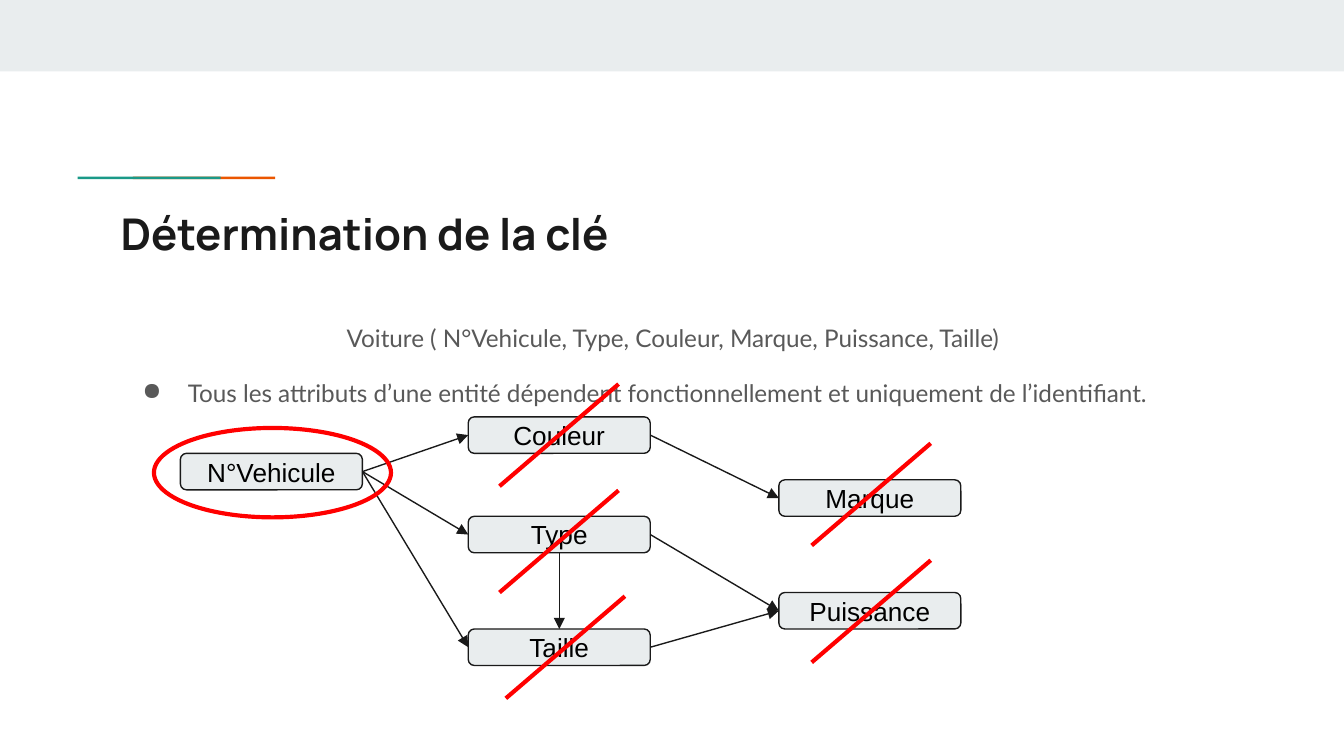
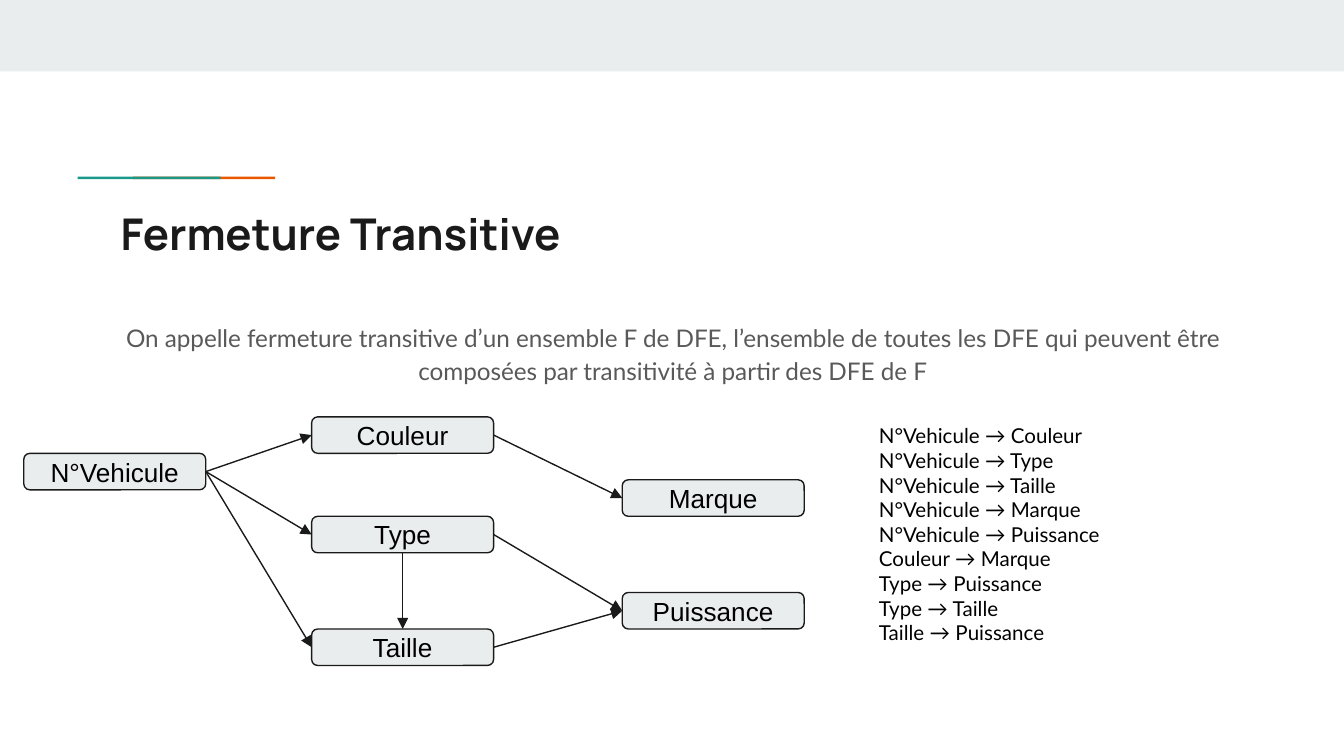
from lxml import etree
from pptx import Presentation
from pptx.dml.color import RGBColor
from pptx.enum.shapes import MSO_CONNECTOR, MSO_SHAPE
from pptx.enum.text import MSO_ANCHOR, PP_ALIGN
from pptx.oxml.ns import qn
from pptx.util import Cm, Pt

RECTANGLE, ROUNDED, OVAL = MSO_SHAPE.RECTANGLE, MSO_SHAPE.ROUNDED_RECTANGLE, MSO_SHAPE.OVAL
STRAIGHT = MSO_CONNECTOR.STRAIGHT
TOP, MIDDLE = MSO_ANCHOR.TOP, MSO_ANCHOR.MIDDLE
LEFT, CENTER = PP_ALIGN.LEFT, PP_ALIGN.CENTER
SIDE_TOP, SIDE_LEFT, SIDE_BOTTOM, SIDE_RIGHT = range(4)

COLORS = {
    "pale": "E9EDEE", "orange": "EB5600", "teal": "1A9988", "ink": "1A1A1A",
    "body": "595959", "black": "000000", "red": "FF0000",
}
# font, size, colour, bold
STYLES = {
    "title": ("Manrope", 23.4, "ink", True),
    "body": ("Lato", 13, "body", False),
    "box": ("Arial", 14, "black", False),
    "list": ("Lato", 11, "black", False),
}

# All lengths are in centimetres.
SLIDE_SIZE = (25.4, 14.29)
TITLE_AREA = (2.03, 3.66, 21.36, 1.5)
BODY_AREA = (2.03, 5.77, 21.36, 6.27)
LIST_AREA = (16.36, 7.75, 7.92, 4.75)
PADDING = 0.25
BULLET_INDENT, BULLET_HANG = 1.27, 0.86

BOX_SIZE = (3.44, 0.69)
COLUMNS = (0, 5.44, 11.31)
# attribute: (column, top)
BOXES = {
    "N°Vehicule": (0, 8.57),
    "Couleur": (1, 7.88),
    "Type": (1, 9.76),
    "Marque": (2, 9.07),
    "Puissance": (2, 11.2),
    "Taille": (1, 11.89),
}
DEPENDENCIES = [
    ("N°Vehicule", "Couleur"), ("N°Vehicule", "Type"), ("N°Vehicule", "Taille"),
    ("Couleur", "Marque"), ("Type", "Puissance"), ("Taille", "Puissance"),
    ("Type", "Taille"),
]
CLOSURE = [
    "N°Vehicule → Couleur", "N°Vehicule → Type", "N°Vehicule → Taille",
    "N°Vehicule → Marque", "N°Vehicule → Puissance", "Couleur → Marque",
    "Type → Puissance", "Type → Taille", "Taille → Puissance",
]
STRIKE_SIZE = (2.25, 1.93)
# lower left end of each strike, measured from its box's top left corner
STRIKES = {
    "Marque": (0.62, 1.24), "Puissance": (0.62, 1.32), "Couleur": (0.59, 1.31),
    "Type": (0.59, 1.44), "Taille": (0.71, 1.31),
}
KEY_MARGIN = (0.5, 0.48)

SLIDES = [
    {
        "title": "Détermination de la clé",
        "body": [
            {"text": "Voiture ( N°Vehicule, Type, Couleur, Marque, Puissance, Taille)"},
            {"text": "Tous les attributs d’une entité dépendent fonctionnellement "
                     "et uniquement de l’identifiant.",
             "bullet": True},
        ],
        "diagram_left": 3.41,
        "key": "N°Vehicule",
        "strikes": STRIKES,
    },
    {
        "title": "Fermeture Transitive",
        "body": [
            {"text": "On appelle fermeture transitive d’un ensemble F de DFE, l’ensemble "
                     "de toutes les DFE qui peuvent être composées par transitivité "
                     "à partir des DFE de F"},
        ],
        "diagram_left": 0.45,
        "list": CLOSURE,
    },
]


def color(name):
    return RGBColor.from_string(COLORS[name])


def add_shape(slide, kind, area, fill=None, line=None, weight=0.75):
    shape = slide.shapes.add_shape(kind, *map(Cm, area))
    shape.shadow.inherit = False
    if fill:
        shape.fill.solid()
        shape.fill.fore_color.rgb = color(fill)
    else:
        shape.fill.background()
    if line:
        shape.line.color.rgb = color(line)
        shape.line.width = Pt(weight)
    else:
        shape.line.fill.background()
    return shape


def add_line(slide, start, end, line, weight):
    connector = slide.shapes.add_connector(STRAIGHT, *map(Cm, start + end))
    connector.line.color.rgb = color(line)
    connector.line.width = Pt(weight)
    etree.SubElement(connector._element.spPr, qn("a:effectLst"))
    return connector


def add_arrow(slide, source, target):
    """Join two boxes: downwards in one column, otherwise from right to left side."""
    stacked = source.left == target.left
    connector = add_line(slide, (0, 0), (1, 1), "ink", 0.75)
    connector.begin_connect(source, SIDE_BOTTOM if stacked else SIDE_RIGHT)
    connector.end_connect(target, SIDE_TOP if stacked else SIDE_LEFT)
    etree.SubElement(connector.line._get_or_add_ln(), qn("a:tailEnd"), type="triangle")


def set_bullet(paragraph):
    properties = paragraph._p.get_or_add_pPr()
    properties.set("marL", str(Cm(BULLET_INDENT)))
    properties.set("indent", str(-Cm(BULLET_HANG)))
    bullet_color = etree.SubElement(properties, qn("a:buClr"))
    etree.SubElement(bullet_color, qn("a:srgbClr"), val=COLORS["body"])
    etree.SubElement(properties, qn("a:buChar"), char="●")


def write(shape, lines, style, align=LEFT, anchor=TOP):
    """Fill a shape with one paragraph a line and return the paragraphs."""
    frame = shape.text_frame
    frame.word_wrap = True
    frame.vertical_anchor = anchor
    frame.margin_left = frame.margin_right = Cm(PADDING)
    frame.margin_top = frame.margin_bottom = Cm(PADDING)
    font_name, size, font_color, bold = STYLES[style]
    for index, text in enumerate(lines):
        paragraph = frame.add_paragraph() if index else frame.paragraphs[0]
        paragraph.alignment = align
        run = paragraph.add_run()
        run.text = text
        run.font.name = font_name
        run.font.size = Pt(size)
        run.font.bold = bold
        run.font.color.rgb = color(font_color)
    return frame.paragraphs


def add_text(slide, area, lines, style, **options):
    return write(slide.shapes.add_textbox(*map(Cm, area)), lines, style, **options)


def add_frame(slide, title):
    """Draw what every slide shares: band, accent rule and title."""
    add_shape(slide, RECTANGLE, (0, 0, SLIDE_SIZE[0], 1.35), "pale")
    add_shape(slide, RECTANGLE, (2.51, 3.34, 2.69, 0.05), "orange")
    add_shape(slide, RECTANGLE, (1.47, 3.34, 2.7, 0.05), "teal")
    add_text(slide, TITLE_AREA, [title], "title", anchor=MIDDLE)


def add_body(slide, items):
    paragraphs = add_text(slide, BODY_AREA, [item["text"] for item in items], "body")
    for paragraph, item in zip(paragraphs, items):
        paragraph.line_spacing = 1.15
        if item.get("bullet"):
            paragraph.space_before = Pt(12)
            set_bullet(paragraph)
        else:
            paragraph.alignment = CENTER


def add_diagram(slide, left, strikes, key):
    places = {name: (left + COLUMNS[column], top) for name, (column, top) in BOXES.items()}
    boxes = {}
    for name, place in places.items():
        boxes[name] = add_shape(slide, ROUNDED, place + BOX_SIZE, "pale", "ink")
        write(boxes[name], [name], "box", CENTER, MIDDLE)
    for source, target in DEPENDENCIES:
        add_arrow(slide, boxes[source], boxes[target])

    width, height = STRIKE_SIZE
    for name, (dx, dy) in strikes.items():
        x, y = places[name][0] + dx, places[name][1] + dy
        add_line(slide, (x, y), (x + width, y - height), "red", 2.25)
    if key:
        corner = [start - margin for start, margin in zip(places[key], KEY_MARGIN)]
        size = [side + 2 * margin + 0.04 for side, margin in zip(BOX_SIZE, KEY_MARGIN)]
        add_shape(slide, OVAL, corner + size, line="red", weight=2.25)


def main():
    presentation = Presentation()
    presentation.slide_width, presentation.slide_height = map(Cm, SLIDE_SIZE)
    for content in SLIDES:
        slide = presentation.slides.add_slide(presentation.slide_layouts[6])
        add_frame(slide, content["title"])
        add_body(slide, content["body"])
        add_diagram(slide, content["diagram_left"], content.get("strikes", {}),
                    content.get("key"))
        if "list" in content:
            add_text(slide, LIST_AREA, content["list"], "list")
    presentation.save("out.pptx")


if __name__ == "__main__":
    main()
